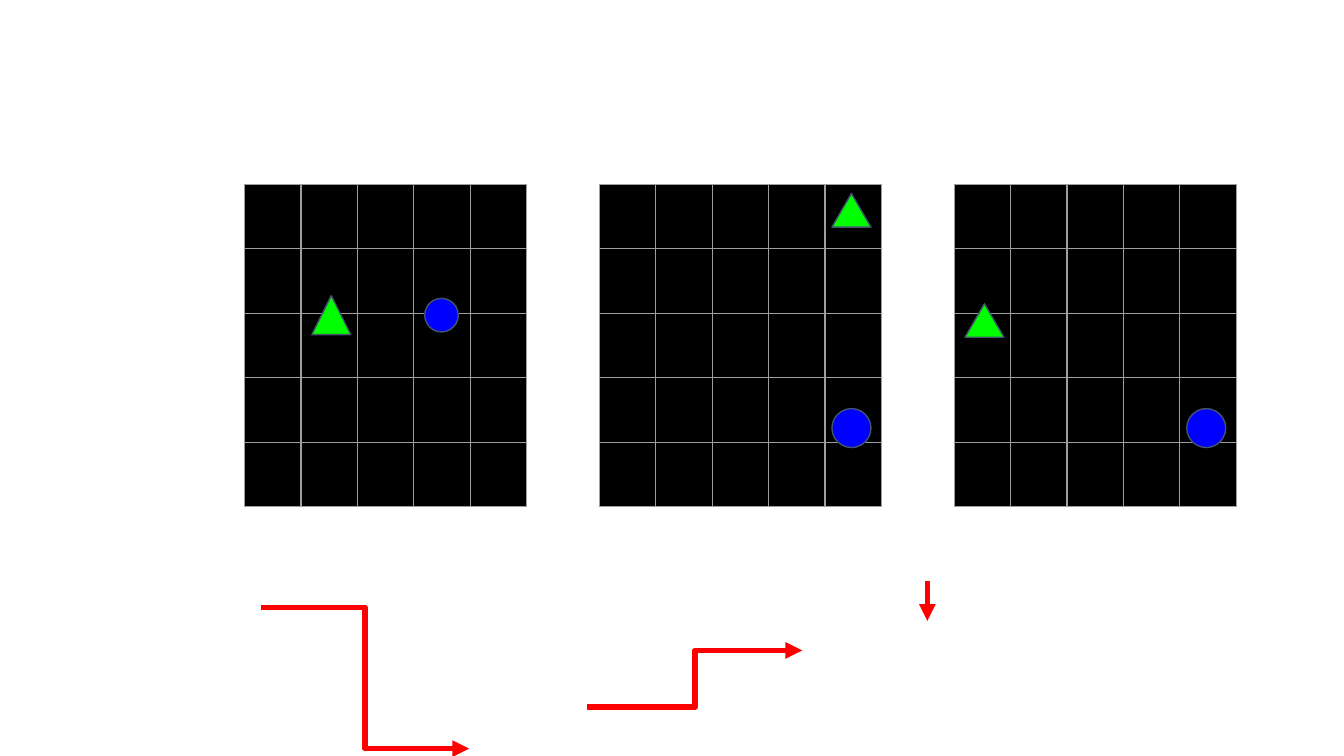
from lxml import etree
from pptx import Presentation
from pptx import util as u
from pptx.dml.color import RGBColor
from pptx.enum import shapes
from pptx.oxml import ns

GRID_SIZE = 5
GRID_TOP = 1.37
CELL_WIDTH, CELL_HEIGHT = 0.42, 0.48
CIRCLE = shapes.MSO_SHAPE.OVAL
TRIANGLE = shapes.MSO_SHAPE.ISOSCELES_TRIANGLE
STRAIGHT = shapes.MSO_CONNECTOR.STRAIGHT
ELBOW = shapes.MSO_CONNECTOR.ELBOW


def color(hex_string):
    return RGBColor.from_string(hex_string)


class GridSlide:
    background = "000000"
    grid_line = "9E9E9E"
    outline = "44546A"
    arrow_color = "FF0000"
    marker_fills = {CIRCLE: "0000FF", TRIANGLE: "00FF00"}

    def __init__(self, slide):
        self.slide = slide

    def border(self, cell):
        """Draw a thin line on all four sides of a cell."""
        properties = cell._tc.get_or_add_tcPr()
        for index, side in enumerate(("lnL", "lnR", "lnT", "lnB")):
            line = etree.Element(ns.qn(f"a:{side}"), w=str(u.Pt(0.75)))
            fill = etree.SubElement(line, ns.qn("a:solidFill"))
            etree.SubElement(fill, ns.qn("a:srgbClr"), val=self.grid_line)
            properties.insert(index, line)

    def grid(self, left):
        table = self.slide.shapes.add_table(
            GRID_SIZE, GRID_SIZE, u.Inches(left), u.Inches(GRID_TOP),
            u.Inches(GRID_SIZE * CELL_WIDTH), u.Inches(GRID_SIZE * CELL_HEIGHT),
        ).table
        table.first_row = False
        table.horz_banding = False
        for cell in table.iter_cells():
            cell.fill.solid()
            cell.fill.fore_color.rgb = color(self.background)
            self.border(cell)

    def marker(self, kind, left, top, width, height):
        shape = self.slide.shapes.add_shape(
            kind, *map(u.Inches, (left, top, width, height)))
        shape.shadow.inherit = False
        shape.fill.solid()
        shape.fill.fore_color.rgb = color(self.marker_fills[kind])
        shape.line.color.rgb = color(self.outline)
        shape.line.width = u.Pt(0.75)

    def arrow(self, kind, *ends):
        connector = self.slide.shapes.add_connector(kind, *map(u.Inches, ends))
        connector.line.color.rgb = color(self.arrow_color)
        connector.line.width = u.Pt(3)
        etree.SubElement(connector.line._get_or_add_ln(),
                         ns.qn("a:tailEnd"), type="triangle")
        etree.SubElement(connector._element.spPr, ns.qn("a:effectLst"))


def main():
    presentation = Presentation()
    presentation.slide_width = u.Inches(10)
    presentation.slide_height = presentation.slide_width * 9 // 16
    page = GridSlide(presentation.slides.add_slide(presentation.slide_layouts[6]))

    page.grid(1.82)
    page.marker(CIRCLE, 3.16, 2.22, 0.25, 0.25)

    page.grid(4.46)
    page.marker(CIRCLE, 6.19, 3.04, 0.29, 0.29)
    page.arrow(ELBOW, 4.37, 5.26, 5.97, 4.84)

    page.grid(7.1)
    page.marker(TRIANGLE, 7.18, 2.26, 0.29, 0.25)
    page.marker(CIRCLE, 8.83, 3.04, 0.29, 0.29)
    page.arrow(STRAIGHT, 6.9, 4.32, 6.9, 4.62)

    page.marker(TRIANGLE, 6.19, 1.44, 0.29, 0.25)
    page.marker(TRIANGLE, 2.32, 2.2, 0.29, 0.29)
    page.arrow(ELBOW, 1.94, 4.52, 3.49, 5.57)

    presentation.save("out.pptx")


if __name__ == "__main__":
    main()
